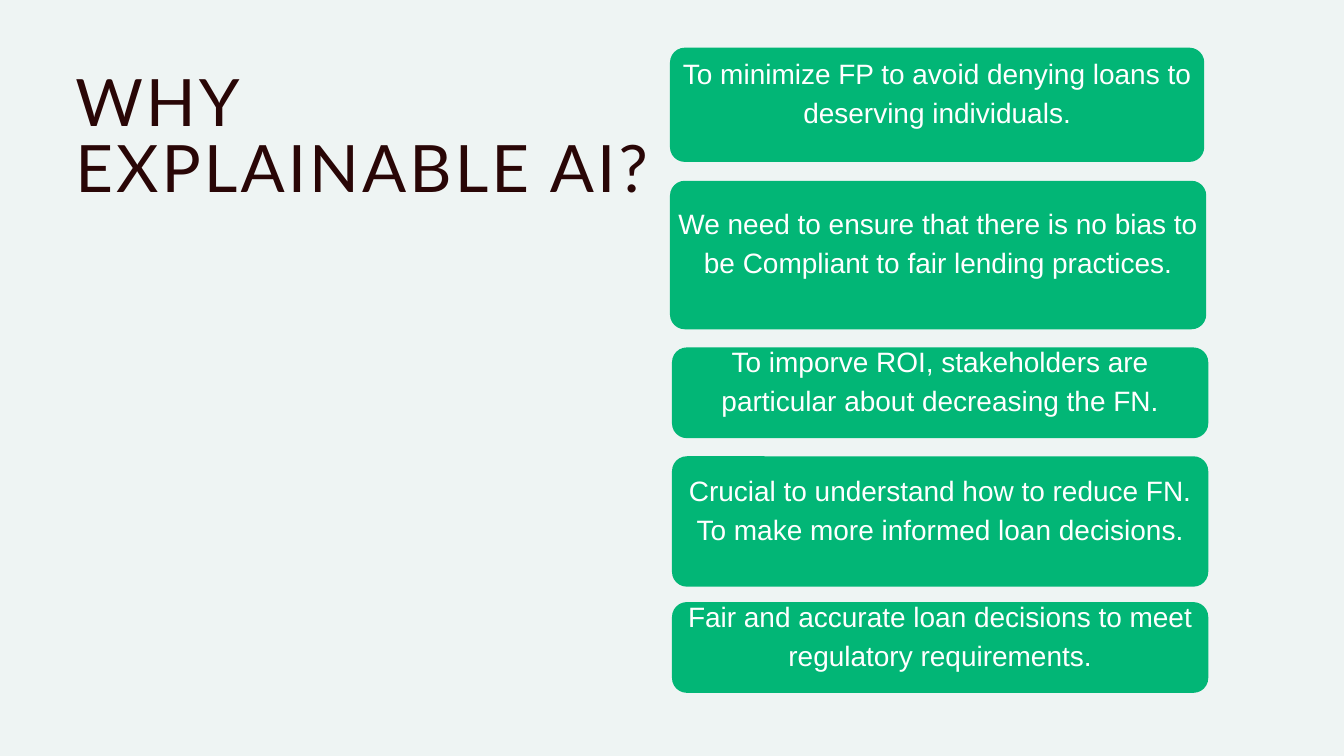
"""Build the slide on why explainable AI matters for loan decisions."""
from pptx import Presentation
from pptx.dml.color import RGBColor as Rgb
from pptx.enum.shapes import MSO_SHAPE as Shape
from pptx.enum.text import MSO_ANCHOR as Anchor, MSO_AUTO_SIZE as Fit, PP_ALIGN as Align
from pptx.util import Inches, Pt

HUES = {"back": "EEF4F3", "card": "02B676", "title": "290606", "text": "FFFFFF"}
COLS = 20
ROWS = 11.25
RISE = 0.44
ROUND = 0.22
CARDS = [
    (9.97, 0.71, 7.95, 1.70, "To minimize FP to avoid denying loans to deserving individuals."),
    (9.97, 2.69, 7.98, 2.21, "We need to ensure that there is no bias to be Compliant to fair lending practices."),
    (10, 5.17, 7.98, 1.35, "To imporve ROI, stakeholders are particular about decreasing the FN."),
    (10, 6.79, 7.98, 1.94, "Crucial to understand how to reduce FN. To make more informed loan decisions."),
    (10, 8.96, 7.98, 1.35, "Fair and accurate loan decisions to meet regulatory requirements."),
]

deck = Presentation()
deck.slide_width = Inches(COLS)
deck.slide_height = Inches(ROWS)
col = deck.slide_width / COLS
row = deck.slide_height / ROWS


def area(left, top, width, height):
    return int(left * col), int(top * row), int(width * col), int(height * row)


def write(shape, text, font, size, hue, lead, align=Align.LEFT, anchor=Anchor.TOP, inset=0.0, track=0):
    frame = shape.text_frame
    frame.word_wrap = True
    frame.auto_size = Fit.NONE
    frame.vertical_anchor = anchor
    frame.margin_left = frame.margin_right = Inches(inset)
    frame.margin_top = frame.margin_bottom = Inches(inset)
    para = frame.paragraphs[0]
    para.alignment = align
    para.line_spacing = Pt(lead)
    para.space_before = Pt(0)
    run = para.add_run()
    run.text = text
    run.font.name = font
    run.font.size = Pt(size)
    run.font.color.rgb = Rgb.from_string(HUES[hue])
    if track:
        run.font._element.set("spc", str(track))


slide = deck.slides.add_slide(deck.slide_layouts[5])
slide.background.fill.solid()
slide.background.fill.fore_color.rgb = Rgb.from_string(HUES["back"])

title = slide.shapes.title
title.left, title.top, title.width, title.height = area(1.12, 1.11, 8.88, 1.95)
write(title, "WHY EXPLAINABLE AI?", "Lato", 70, "title", 70, track=340)

for left, top, width, height, text in CARDS:
    group = slide.shapes.add_group_shape()
    card = group.shapes.add_shape(Shape.ROUNDED_RECTANGLE, *area(left, top, width, height))
    card.adjustments[0] = ROUND / height
    card.shadow.inherit = False
    card.fill.solid()
    card.fill.fore_color.rgb = Rgb.from_string(HUES["card"])
    card.line.fill.background()
    label = group.shapes.add_textbox(*area(left, top - RISE, width, height + RISE))
    write(label, text, "Arial", 30, "text", 42, Align.CENTER, Anchor.MIDDLE, 0.06)

deck.save("out.pptx")
